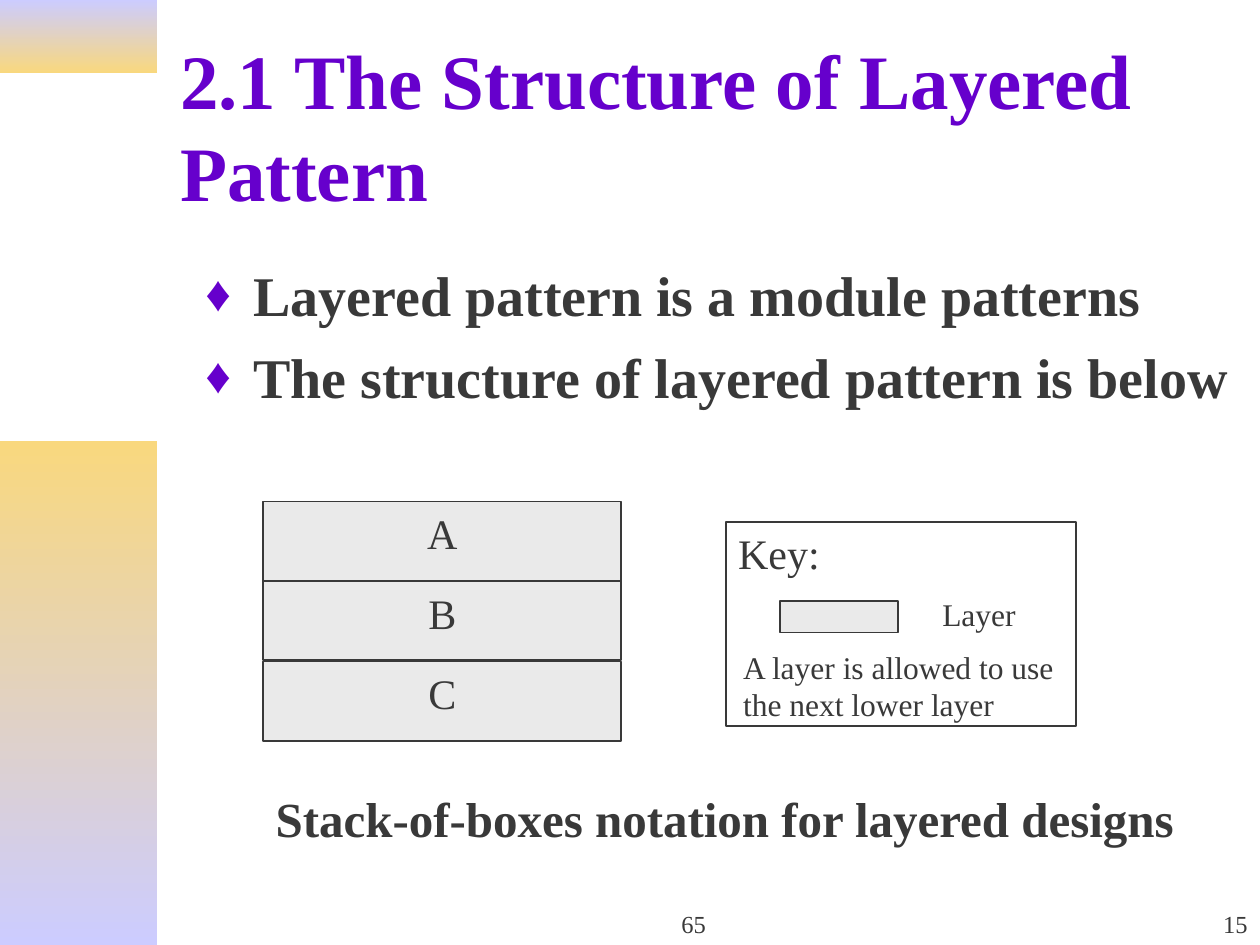
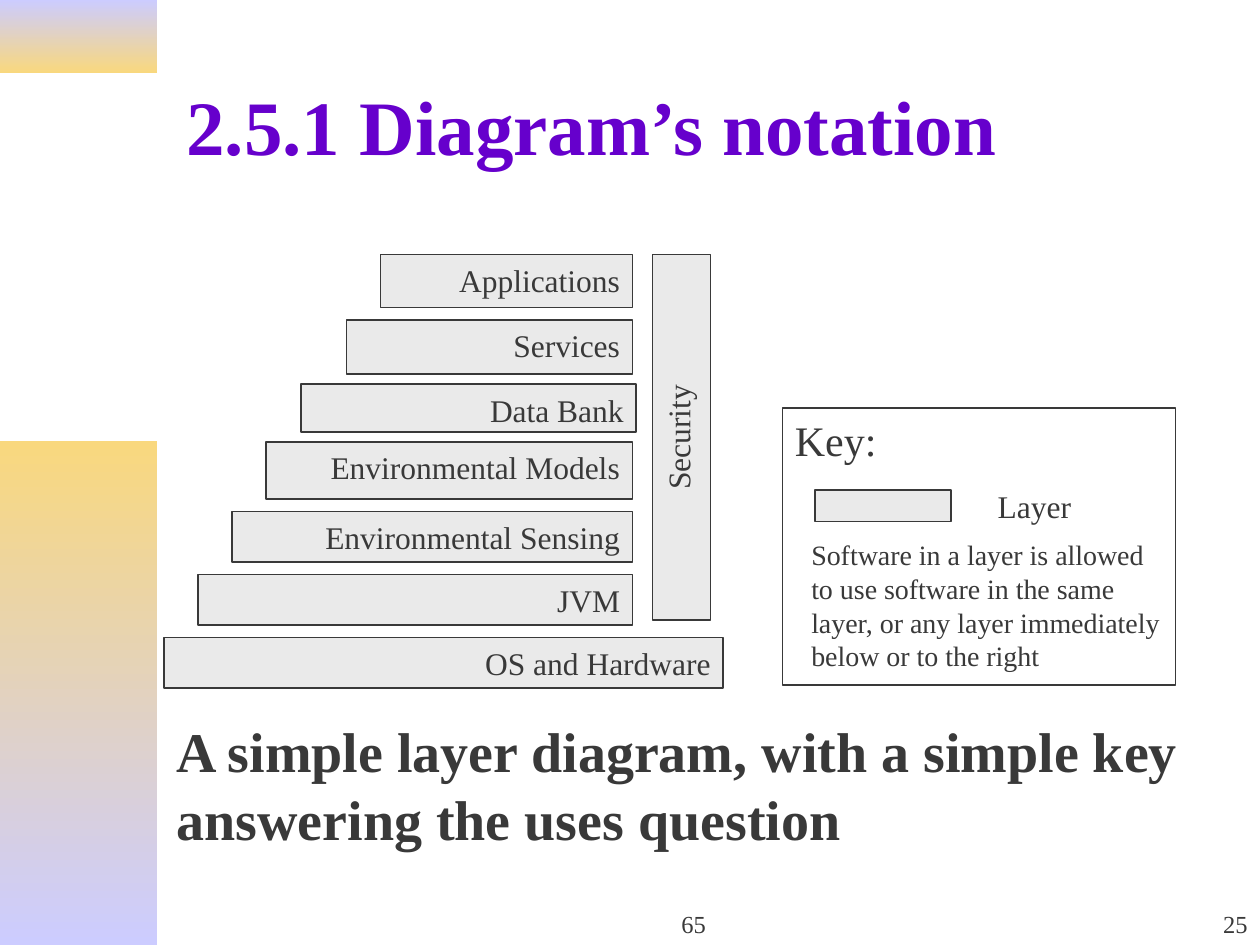
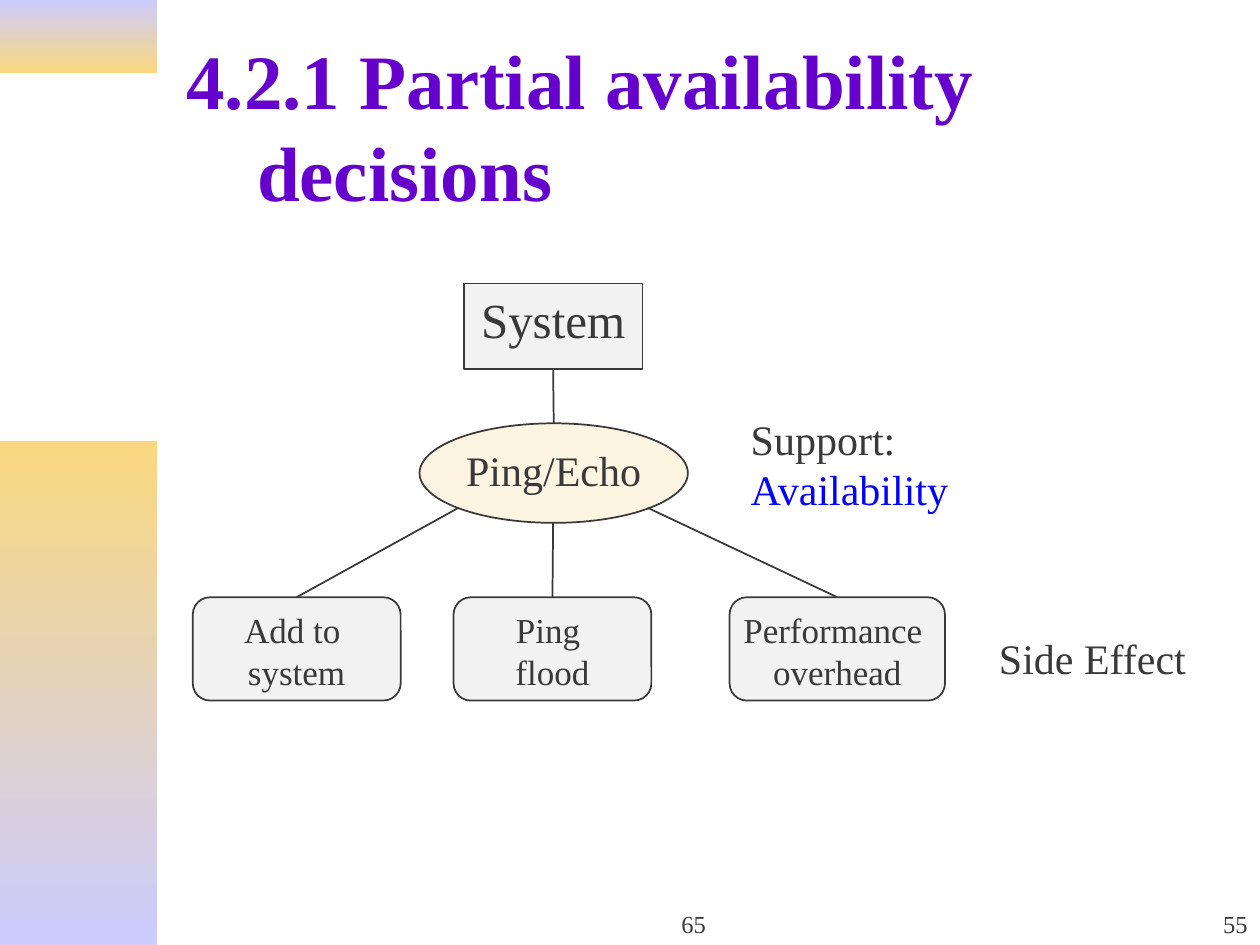
from dataclasses import dataclass

from lxml import etree
from pptx import Presentation
from pptx import util as u
from pptx.dml.color import RGBColor
from pptx.enum import shapes, text
from pptx.oxml.ns import qn

FONT = "Times New Roman"
PURPLE = RGBColor(0x66, 0x00, 0xCC)
INK = RGBColor(0x39, 0x39, 0x39)
BLUE = RGBColor(0x00, 0x00, 0xFF)
WHITE = RGBColor(0xFF, 0xFF, 0xFF)
LAYER_GRAY = RGBColor(0xEA, 0xEA, 0xEA)
NODE_GRAY = RGBColor(0xF2, 0xF2, 0xF2)
CREAM = RGBColor(0xFB, 0xE9, 0xC0)
LAVENDER = RGBColor(0xCC, 0xCC, 0xFF)
GOLD = RGBColor(0xF9, 0xD8, 0x7E)

LEFT, CENTER, RIGHT = text.PP_ALIGN.LEFT, text.PP_ALIGN.CENTER, text.PP_ALIGN.RIGHT
RECT = shapes.MSO_SHAPE.RECTANGLE
OVAL = shapes.MSO_SHAPE.OVAL
ROUNDED = shapes.MSO_SHAPE.ROUNDED_RECTANGLE
TITLE_AND_BODY, TITLE_ONLY = 1, 5
PAGE_TOTAL = "65"


@dataclass(frozen=True)
class Box:
    left: float
    top: float
    width: float
    height: float

    def lengths(self) -> tuple:
        return tuple(u.Inches(v) for v in (self.left, self.top, self.width, self.height))


@dataclass(frozen=True)
class Style:
    size: float
    color: RGBColor = INK
    bold: bool = False
    align: text.PP_ALIGN = LEFT


@dataclass(frozen=True)
class Block:
    box: Box
    lines: tuple
    style: Style
    fill: RGBColor = LAYER_GRAY
    shape: shapes.MSO_SHAPE = RECT
    rotation: float = 0


@dataclass(frozen=True)
class Key:
    panel: Box
    swatch: Box
    label: Box
    rule: Box
    rule_lines: tuple
    rule_size: float
    rule_wraps: bool = False


TITLE = Style(44, PURPLE, True)
BODY = Style(32, bold=True)


def add_run(p, content: str, style: Style) -> None:
    r = p.add_run()
    r.text = content
    r.font.name = FONT
    r.font.size = u.Pt(style.size)
    r.font.bold = style.bold
    r.font.color.rgb = style.color


def write(tf, lines: tuple, style: Style, gap: float = 0) -> None:
    for i, line in enumerate(lines):
        p = tf.paragraphs[0] if i == 0 else tf.add_paragraph()
        p.alignment = style.align
        p.space_before = u.Pt(gap if i else 0)
        add_run(p, line, style)


def indent(p, hanging: float) -> None:
    pPr = p._p.get_or_add_pPr()
    pPr.set("marL", str(u.Inches(hanging)))
    pPr.set("indent", str(-u.Inches(hanging)))


def add_bullet(p) -> None:
    pPr = p._p.get_or_add_pPr()
    color = etree.SubElement(pPr, qn("a:buClr"))
    etree.SubElement(color, qn("a:srgbClr"), val=str(PURPLE))
    etree.SubElement(pPr, qn("a:buSzPct"), val="90000")
    etree.SubElement(pPr, qn("a:buChar"), char="♦")


def fill_placeholder(sp, box: Box, lines: tuple, style: Style, gap: float = 0):
    sp.left, sp.top, sp.width, sp.height = box.lengths()
    tf = sp.text_frame
    tf.auto_size = text.MSO_AUTO_SIZE.NONE
    write(tf, lines, style, gap)
    return tf


def add_label(s, box: Box, lines: tuple, style: Style, wrap: bool = False):
    tf = s.shapes.add_textbox(*box.lengths()).text_frame
    tf.word_wrap = wrap
    write(tf, lines, style)
    return tf


def add_block(s, block: Block):
    sp = s.shapes.add_shape(block.shape, *block.box.lengths())
    sp.shadow.inherit = False
    sp.rotation = block.rotation
    sp.fill.solid()
    sp.fill.fore_color.rgb = block.fill
    sp.line.color.rgb = INK
    sp.line.width = u.Pt(1)
    tf = sp.text_frame
    tf.word_wrap = False
    tf.vertical_anchor = text.MSO_ANCHOR.TOP
    write(tf, block.lines, block.style)
    return sp


def add_line(s, x1: float, y1: float, x2: float, y2: float):
    cxn = s.shapes.add_connector(
        shapes.MSO_CONNECTOR.STRAIGHT, *(u.Inches(v) for v in (x1, y1, x2, y2))
    )
    cxn.line.color.rgb = INK
    cxn.line.width = u.Pt(1)
    etree.SubElement(cxn._element.spPr, qn("a:effectLst"))
    return cxn


def add_key(s, key: Key) -> None:
    add_block(s, Block(key.panel, ("Key:",), Style(24), WHITE))
    add_block(s, Block(key.swatch, (), Style(18)))
    add_label(s, key.label, ("Layer",), Style(18))
    add_label(s, key.rule, key.rule_lines, Style(key.rule_size), key.rule_wraps)


def add_master_bands(prs, s) -> None:
    bands = (
        (Box(0, 0, 1.25, 0.58), (LAVENDER, GOLD)),
        (Box(0, 3.5, 1.25, 4), (GOLD, LAVENDER)),
    )
    tree = prs.slide_master.element.cSld.spTree
    for box, colors in bands:
        sp = s.shapes.add_shape(RECT, *box.lengths())
        sp.shadow.inherit = False
        sp.line.fill.background()
        sp.fill.gradient()
        sp.fill.gradient_angle = 270
        for stop, color, position in zip(sp.fill.gradient_stops, colors, (0, 1)):
            stop.color.rgb = color
            stop.position = position
        tree.insert(2, sp._element)


def new_slide(prs, layout: int, title: str, title_box: Box, page: str):
    s = prs.slides.add_slide(prs.slide_layouts[layout])
    tf = fill_placeholder(s.shapes.title, title_box, (title,), TITLE)
    tf.vertical_anchor = text.MSO_ANCHOR.MIDDLE
    for box, number, align in (
        (Box(3.92, 7, 3.17, 0.5), PAGE_TOTAL, CENTER),
        (Box(7.92, 7, 2.08, 0.5), page, RIGHT),
    ):
        footer = add_label(s, box, (number,), Style(14, align=align), True)
        footer.vertical_anchor = text.MSO_ANCHOR.BOTTOM
    return s


def build_structure(prs) -> None:
    s = new_slide(prs, TITLE_AND_BODY, "2.1 The Structure of Layered Pattern",
                  Box(1.33, 0.33, 8.5, 1.32), "15")
    add_master_bands(prs, s)
    tf = fill_placeholder(
        s.placeholders[1], Box(1.53, 2.02, 8.35, 1.34),
        ("Layered pattern is a module patterns", "The structure of layered pattern is below"),
        Style(32, bold=True, align=text.PP_ALIGN.JUSTIFY), gap=8,
    )
    for p in tf.paragraphs:
        indent(p, 0.38)
        add_bullet(p)
    for name, top in zip("ABC", (3.98, 4.61, 5.25)):
        add_block(s, Block(Box(2.09, top, 2.84, 0.63), (name,), Style(24, align=CENTER)))
    add_label(s, Box(2.09, 6.21, 7.34, 0.57),
              ("Stack-of-boxes notation for layered designs",), Style(28, bold=True))
    add_key(s, Key(
        Box(5.76, 4.14, 2.78, 1.62), Box(6.19, 4.77, 0.94, 0.25),
        Box(7.38, 4.67, 0.78, 0.4), Box(5.8, 5.09, 2.74, 0.7),
        ("A layer is allowed to use", "the next lower layer"), 18,
    ))


def build_notation(prs) -> None:
    s = new_slide(prs, TITLE_AND_BODY, "2.5.1 Diagram’s notation",
                  Box(1.38, 0.33, 8.59, 1.32), "25")
    tf = fill_placeholder(
        s.placeholders[1], Box(1.3, 5.64, 8.66, 1.18),
        ("A simple layer diagram, with a simple key answering the uses question",), BODY,
    )
    indent(tf.paragraphs[0], 0)
    etree.SubElement(tf.paragraphs[0]._p.get_or_add_pPr(), qn("a:buNone"))
    layers = (
        ("Applications", Box(3.02, 2.02, 2, 0.42)),
        ("Services", Box(2.75, 2.54, 2.27, 0.43)),
        ("Data Bank", Box(2.39, 3.05, 2.66, 0.38)),
        ("Environmental Models", Box(2.11, 3.51, 2.91, 0.45)),
        ("Environmental Sensing", Box(1.84, 4.06, 3.18, 0.4)),
        ("JVM", Box(1.57, 4.56, 3.45, 0.4)),
        ("OS and Hardware", Box(1.3, 5.06, 4.44, 0.4)),
    )
    for name, box in layers:
        add_block(s, Block(box, (name,), Style(18, align=RIGHT)))
    add_block(s, Block(Box(3.96, 3.24, 2.9, 0.46), ("Security",),
                       Style(18, align=CENTER), rotation=270))
    add_key(s, Key(
        Box(6.21, 3.24, 3.12, 2.2), Box(6.47, 3.89, 1.08, 0.25),
        Box(7.82, 3.82, 0.78, 0.4), Box(6.34, 4.22, 2.99, 1.17),
        ("Software in a layer is allowed to use software in the same layer, "
         "or any layer immediately below or to the right",), 16, True,
    ))


def build_availability(prs) -> None:
    s = new_slide(prs, TITLE_ONLY, "4.2.1 Partial availability decisions",
                  Box(1.38, 0.33, 8.59, 1.32), "55")
    indent(s.shapes.title.text_frame.paragraphs[0], 0.56)
    system = add_block(s, Block(Box(3.68, 2.25, 1.42, 0.68), ("System",),
                                Style(28, align=CENTER), NODE_GRAY))
    tactic = add_block(s, Block(Box(3.33, 3.36, 2.13, 0.79), ("Ping/Echo",),
                                Style(24, align=CENTER), CREAM, OVAL))
    tint = tactic._element.spPr.find(qn("a:solidFill"))[0]
    etree.SubElement(tint, qn("a:alpha"), val="46000")
    link = add_line(s, 4.39, 2.93, 4.39, 3.36)
    link.begin_connect(system, 2)
    link.end_connect(tactic, 0)
    effects = (
        (("Add to ", "system"), 1.53, 1.65, (3.64, 4.03)),
        (("Ping ", "flood"), 3.6, 1.57, (4.39, 4.15)),
        (("Performance ", "overhead"), 5.79, 1.71, (5.14, 4.03)),
    )
    for lines, left, width, start in effects:
        effect = add_block(s, Block(Box(left, 4.74, width, 0.82), lines,
                                    Style(20, align=CENTER), NODE_GRAY, ROUNDED))
        add_line(s, *start, left + width / 2, 4.74).end_connect(effect, 0)
    support = add_label(s, Box(5.86, 3.23, 1.79, 0.9), ("Support:",), Style(24))
    add_run(support.add_paragraph(), "Availability", Style(24, BLUE))
    add_label(s, Box(7.83, 4.97, 1.69, 0.5), ("Side Effect",), Style(24))


def main() -> None:
    prs = Presentation()
    prs.slide_width, prs.slide_height = u.Inches(10), u.Inches(7.5)
    build_structure(prs)
    build_notation(prs)
    build_availability(prs)
    prs.save("out.pptx")


if __name__ == "__main__":
    main()
